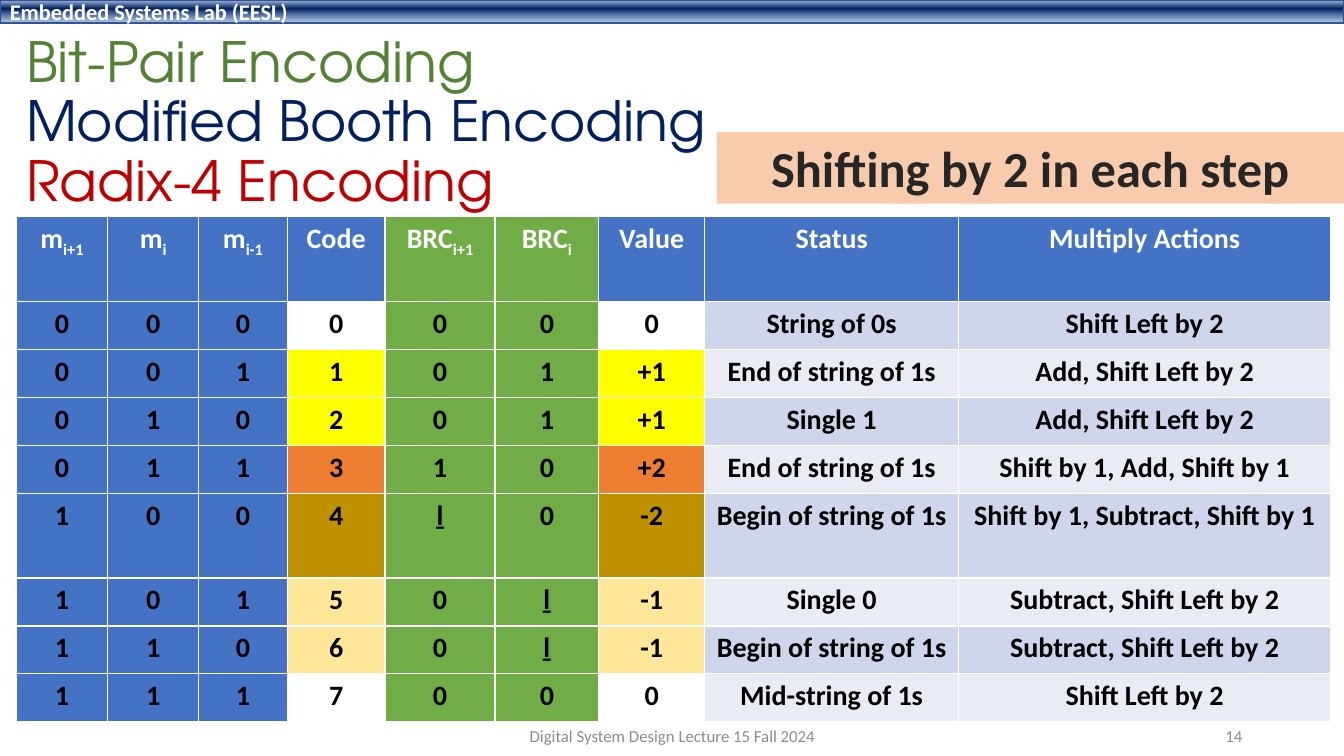
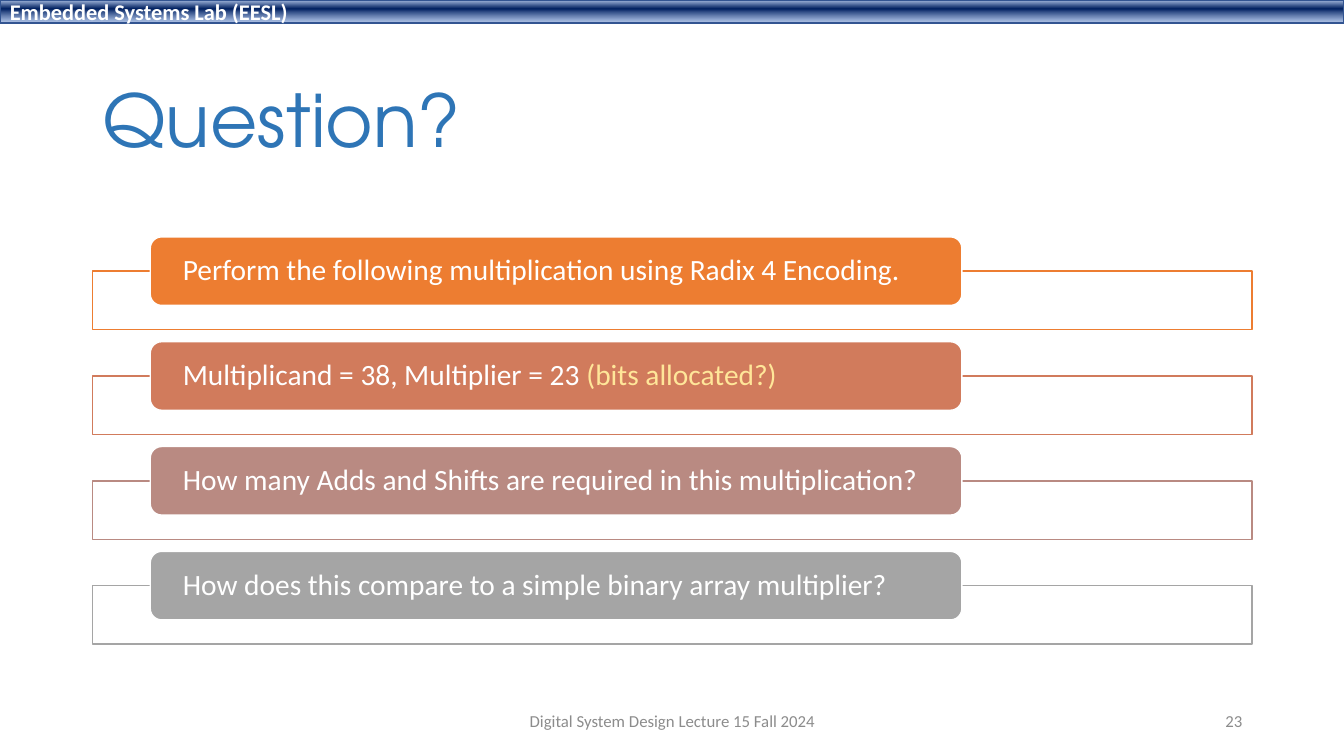
import lxml.etree
import pptx
import pptx.dml.color
import pptx.enum.shapes
import pptx.enum.text
import pptx.oxml
import pptx.oxml.ns
import pptx.util

Inches = pptx.util.Inches
Pt = pptx.util.Pt
ALIGN = pptx.enum.text.PP_ALIGN
ANCHOR = pptx.enum.text.MSO_ANCHOR
SHAPE = pptx.enum.shapes.MSO_SHAPE

WIDTH, HEIGHT = 13.33, 7.5
WHITE, BLACK, GREY = "FFFFFF", "000000", "8C8C8C"
BLUE, GREEN, ORANGE = "4472C4", "70AD47", "ED7D31"
STRIPES = ["CFD5EA", "E9EBF5"]

BODY = {"name": "Calibri", "size": Pt(21), "bold": False}
BAND = {"name": "Calibri", "size": Pt(16), "bold": True}
CELL = {"name": "Calibri", "size": Pt(20), "bold": True}
CALLOUT = {"name": "Calibri", "size": Pt(36), "bold": True}
FOOTER = {"name": "Calibri", "size": Pt(12), "bold": False}
TITLE = {"name": "TeX Gyre Adventor", "bold": False}

HEADERS = [("m", "i+1"), ("m", "i"), ("m", "i-1"), ("Code", ""), ("BRC", "i+1"),
           ("BRC", "i"), ("Value", ""), ("Status", ""), ("Multiply Actions", "")]
# Recoded digit pair, value, status and action, in order of the code 0 to 7
ENCODINGS = [
    ("0", "0", "0", "String of 0s", "Shift Left by 2"),
    ("0", "1", "+1", "End of string of 1s", "Add, Shift Left by 2"),
    ("0", "1", "+1", "Single 1", "Add, Shift Left by 2"),
    ("1", "0", "+2", "End of string of 1s", "Shift by 1, Add, Shift by 1"),
    ("ḻ", "0", "-2", "Begin of string of 1s", "Shift by 1, Subtract, Shift by 1"),
    ("0", "ḻ", "-1", "Single 0", "Subtract, Shift Left by 2"),
    ("0", "ḻ", "-1", "Begin of string of 1s", "Subtract, Shift Left by 2"),
    ("0", "0", "0", "Mid-string of 1s", "Shift Left by 2"),
]
VALUE_COLOURS = {"0": WHITE, "+1": "FFFF00", "+2": ORANGE, "-2": "BF9000", "-1": "FFE699"}
COLUMN_WIDTHS = [0.91, 0.9, 0.88, 0.97, 1.09, 1.03, 1.05, 2.52, 3.69]
ROW_HEIGHT, TALL_ROW_HEIGHT, TALL_ROWS = 0.476, 0.84, (0, 5)

QUESTIONS = [
    (ORANGE, [("Perform the following multiplication using Radix 4 Encoding.", WHITE)]),
    ("D17B5C", [("Multiplicand = 38, Multiplier = 23 ", WHITE), ("(bits allocated?)", "FFE699")]),
    ("B98A82", [("How many Adds and Shifts are required in this multiplication?", WHITE)]),
    ("A5A5A5", [("How does this compare to a simple binary array multiplier?", WHITE)]),
]


def colour(value):
    return pptx.dml.color.RGBColor.from_string(value)


def apply(target, formats):
    for name, value in formats.items():
        setattr(target, name, value)


def add_run(paragraph, text, font, text_colour):
    run = paragraph.add_run()
    run.text = text
    apply(run.font, font)
    run.font.color.rgb = colour(text_colour)
    return run


def write(frame, paragraphs, font, align=ALIGN.LEFT, anchor=ANCHOR.MIDDLE, spacing=1.0):
    """Fill a text frame; each paragraph is a list of (text, colour) pairs."""
    apply(frame, {"word_wrap": True, "vertical_anchor": anchor})
    for index, runs in enumerate(paragraphs):
        paragraph = frame.add_paragraph() if index else frame.paragraphs[0]
        apply(paragraph, {"alignment": align, "line_spacing": spacing})
        for text, text_colour in runs:
            add_run(paragraph, text, font, text_colour)


def add_text(slide, box, paragraphs, font, **layout):
    shape = slide.shapes.add_textbox(*map(Inches, box))
    write(shape.text_frame, paragraphs, font, **layout)


def add_box(slide, box, fill, line=None, kind=SHAPE.RECTANGLE):
    shape = slide.shapes.add_shape(kind, *map(Inches, box))
    shape.shadow.inherit = False
    shape.fill.solid()
    shape.fill.fore_color.rgb = colour(fill)
    if line:
        shape.line.color.rgb = colour(line)
        shape.line.width = Pt(1)
    else:
        shape.line.fill.background()
    return shape


def set_gradient(shape, stops):
    """Fill a shape from top to bottom with (percent, colour, opacity) stops."""
    shape.fill.gradient()
    shape.fill.gradient_angle = 270
    qn = pptx.oxml.ns.qn
    stop_list = shape.element.spPr.find(qn("a:gradFill")).find(qn("a:gsLst"))
    for stop in list(stop_list):
        stop_list.remove(stop)
    for percent, value, opacity in stops:
        stop = lxml.etree.SubElement(stop_list, qn("a:gs"), pos=str(percent * 1000))
        stop_colour = lxml.etree.SubElement(stop, qn("a:srgbClr"), val=value)
        lxml.etree.SubElement(stop_colour, qn("a:alpha"), val=str(opacity * 1000))


def add_slide(presentation, number, footer_top):
    """Add a blank slide with the lab band, footer and slide number."""
    slide = presentation.slides.add_slide(presentation.slide_layouts[6])
    band = add_box(slide, (0, 0, WIDTH, 0.23), BLUE, "325491")
    set_gradient(band, [(2, "ABC0E4", 100), (38, "002060", 100), (93, "7E9ED6", 64)])
    write(band.text_frame, [[("Embedded Systems Lab (EESL)", WHITE)]], BAND)
    add_text(slide, (4.42, footer_top, 4.5, 0.4),
             [[("Digital System Design Lecture 15 Fall 2024", GREY)]], FOOTER, align=ALIGN.CENTER)
    add_text(slide, (9.42, footer_top, 3, 0.4), [[(number, GREY)]], FOOTER, align=ALIGN.RIGHT)
    return slide


def add_title(slide, box, lines, size):
    add_text(slide, box, [[line] for line in lines], {**TITLE, "size": Pt(size)}, spacing=0.9)


def fill_cell(cell, text, fill, text_colour, subscript=""):
    cell.fill.solid()
    cell.fill.fore_color.rgb = colour(fill)
    paragraph = cell.text_frame.paragraphs[0]
    paragraph.alignment = ALIGN.CENTER
    add_run(paragraph, text, CELL, text_colour)
    if subscript:
        run = add_run(paragraph, subscript, CELL, text_colour)
        run.font._element.set("baseline", "-25000")


def add_encoding_table(slide, left, top):
    heights = [TALL_ROW_HEIGHT if row in TALL_ROWS else ROW_HEIGHT
               for row in range(len(ENCODINGS) + 1)]
    box = (left, top, sum(COLUMN_WIDTHS), sum(heights))
    table = slide.shapes.add_table(len(heights), len(HEADERS), *map(Inches, box)).table
    for column, width in zip(table.columns, COLUMN_WIDTHS):
        column.width = Inches(width)
    for row, height in zip(table.rows, heights):
        row.height = Inches(height)
    for index, (text, subscript) in enumerate(HEADERS):
        fill = GREEN if text == "BRC" else BLUE
        fill_cell(table.cell(0, index), text, fill, WHITE, subscript)
    for code, encoding in enumerate(ENCODINGS):
        highlight, stripe = VALUE_COLOURS[encoding[2]], STRIPES[code % 2]
        texts = [*format(code, "03b"), str(code), *encoding]
        fills = [BLUE] * 3 + [highlight] + [GREEN] * 2 + [highlight] + [stripe] * 2
        for index, (text, fill) in enumerate(zip(texts, fills)):
            fill_cell(table.cell(code + 1, index), text, fill, BLACK)


def add_question(slide, left, top, accent, runs):
    """Add an outlined frame with a rounded label over its upper edge."""
    add_box(slide, (left, top + 0.34, 11.5, 0.58), WHITE, accent)
    label = add_box(slide, (left + 0.57, top, 8.05, 0.68), accent, WHITE, SHAPE.ROUNDED_RECTANGLE)
    apply(label.text_frame, {"margin_left": Inches(0.29), "margin_right": Inches(0.29),
                             "margin_top": 0, "margin_bottom": 0})
    write(label.text_frame, [runs], BODY, spacing=0.9)


def build_encoding_slide(presentation):
    slide = add_slide(presentation, "14", 7.1)
    add_title(slide, (0.16, 0.32, 10.88, 1.82),
              [("Bit-Pair Encoding", "548235"), ("Modified Booth Encoding", "002060"),
               ("Radix-4 Encoding", "C00000")], 39.6)
    add_encoding_table(slide, 0.16, 2.15)
    callout = add_box(slide, (7.11, 1.31, 6.22, 0.71), "F8CBAD")
    write(callout.text_frame, [[("Shifting by 2 in each step", "262626")]], CALLOUT,
          align=ALIGN.CENTER, anchor=ANCHOR.TOP)


def build_question_slide(presentation):
    slide = add_slide(presentation, "23", 6.95)
    add_title(slide, (0.92, 0.61, 11.5, 1.24), [("Question?", "2E75B6")], 52)
    for index, (accent, runs) in enumerate(QUESTIONS):
        add_question(slide, 0.92, 2.35 + index * 1.04, accent, runs)


def main():
    presentation = pptx.Presentation()
    presentation.slide_width, presentation.slide_height = Inches(WIDTH), Inches(HEIGHT)
    build_encoding_slide(presentation)
    build_question_slide(presentation)
    presentation.save("out.pptx")


if __name__ == "__main__":
    main()
